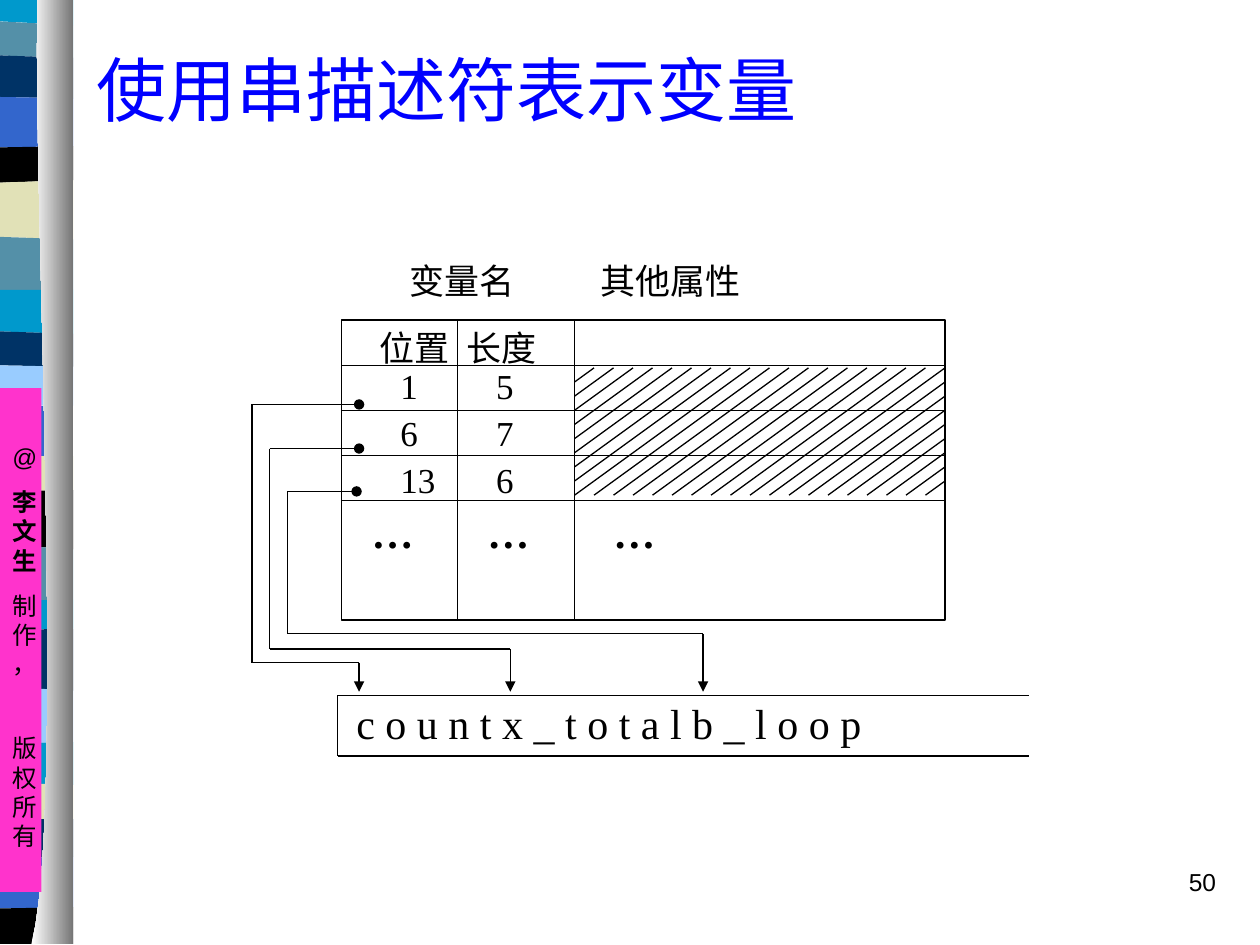
from lxml.etree import SubElement
from pptx import Presentation
from pptx.dml.color import RGBColor
from pptx.enum.shapes import MSO_CONNECTOR as Link, MSO_SHAPE as Preset
from pptx.enum.text import MSO_ANCHOR as Anchor, PP_ALIGN as Align
from pptx.oxml.ns import qn
from pptx.util import Inches, Pt

BLACK = RGBColor(0x00, 0x00, 0x00)
WHITE = RGBColor(0xFF, 0xFF, 0xFF)
GRAY = RGBColor(0x76, 0x76, 0x76)
BLUE = RGBColor(0x00, 0x00, 0xFF)
PINK = RGBColor(0xFF, 0x33, 0xCC)
CYAN = RGBColor(0x00, 0x99, 0xCC)
TEAL = RGBColor(0x54, 0x90, 0xA8)
NAVY = RGBColor(0x00, 0x33, 0x66)
ROYAL = RGBColor(0x33, 0x66, 0xCC)
SAND = RGBColor(0xE1, 0xE1, 0xB7)
SKY = RGBColor(0x99, 0xCC, 0xFF)

HAN = "Noto Sans CJK SC"
SERIF = {"name": "Times New Roman", "size": Pt(20), "bold": False}
SERIF_LARGE = {**SERIF, "size": Pt(24)}
SERIF_BOLD = {**SERIF_LARGE, "bold": True}
SANS = {"name": "Arial", "size": Pt(14), "bold": False}
TITLE = {"name": HAN, "size": Pt(40), "bold": False}

BANDS = [
    (CYAN, 0.17, 0.2), (TEAL, 0.44, 0.46), (NAVY, 0.77, 0.78),
    (ROYAL, 1.17, 1.16), (BLACK, 1.45, 1.43), (SAND, 1.88, 1.9),
    (TEAL, 2.3, 2.3), (CYAN, 2.63, 2.65), (NAVY, 2.9, 2.91),
    (SKY, 3.22, 3.22), (ROYAL, 3.62, 3.62), (SAND, 3.9, 3.89),
    (BLACK, 4.32, 4.36), (TEAL, 4.77, 4.76), (CYAN, 5, 4.99),
    (NAVY, 5.45, 5.48), (SKY, 5.9, 5.89), (CYAN, 6.21, 6.23),
    (SAND, 6.5, 6.5), (NAVY, 6.81, 6.8), (ROYAL, 7.21, 7.2),
    (BLACK, 7.49, 7.49),
]


def write_para(para, text, style, align=Align.LEFT, before=0, tabs=(), color=BLACK):
    """Write one styled run, with tab stops given in inches."""
    para.alignment = align
    para.space_before = Pt(before)
    if tabs:
        stops = SubElement(para._p.get_or_add_pPr(), qn("a:tabLst"))
        for stop in tabs:
            SubElement(stops, qn("a:tab"), pos=str(Inches(stop)), algn="l")
    span = para.add_run()
    span.text = text
    span.font.color.rgb = color
    for key, value in style.items():
        setattr(span.font, key, value)
    SubElement(span.font._element, qn("a:ea"), typeface=HAN)


def add_text(page, box, lines, style, anchor=Anchor.TOP, **formats):
    """Place a text box holding one paragraph per line."""
    frame = page.shapes.add_textbox(*map(Inches, box)).text_frame
    frame.word_wrap = True
    frame.vertical_anchor = anchor
    for index, text in enumerate(lines):
        para = frame.add_paragraph() if index else frame.paragraphs[0]
        write_para(para, text, style, **formats)
        if index:
            para.space_before = Pt(3)


def add_line(page, start, end, tail=None):
    """Draw a thin black line, with an optional mark at its end."""
    line = page.shapes.add_connector(Link.STRAIGHT, *map(Inches, (*start, *end)))
    line.line.color.rgb = BLACK
    line.line.width = Pt(0.75)
    if tail:
        SubElement(line.line._get_or_add_ln(), qn("a:tailEnd"), type=tail)
    SubElement(line._element.spPr, qn("a:effectLst"))


def add_outline(page, points):
    """Build a closed shape through points, without line or shadow."""
    corners = [(Inches(x), Inches(y)) for x, y in points]
    builder = page.shapes.build_freeform(*corners[0])
    builder.add_line_segments(corners[1:], close=True)
    shape = builder.convert_to_shape()
    shape.shadow.inherit = False
    shape.line.fill.background()
    return shape


def curve_point(t, ends):
    """Return the cubic curve value at t for four control values."""
    a, b, c, d = ends
    s = 1 - t
    return a * s**3 + 3 * b * s * s * t + 3 * c * s * t * t + d * t**3


def add_side_strip(page, box):
    """Stack the coloured bands and lay the silver edge over them."""
    left, top, width, height = box
    right = left + width
    above = (top, top)
    for color, low_left, low_right in BANDS:
        points = [(left, above[0]), (right, above[1]), (right, low_right), (left, low_left)]
        band = add_outline(page, points)
        band.fill.solid()
        band.fill.fore_color.rgb = color
        above = (low_left, low_right)
    curve = [
        (left + curve_point(i / 24, (0.3, 0.25, 0.53, 0.25)),
         top + curve_point(i / 24, (0, 1.25, 6.46, height)))
        for i in range(25)
    ]
    edge = add_outline(page, curve + [(right, top + height), (right, top)])
    edge.fill.gradient()
    edge.fill.gradient_angle = 0
    for stop, color in zip(edge.fill.gradient_stops, (WHITE, GRAY)):
        stop.color.rgb = color


def add_credit(page, box):
    """Add the pink panel with the copyright line set downwards."""
    panel = page.shapes.add_shape(Preset.RECTANGLE, *map(Inches, box))
    panel.shadow.inherit = False
    panel.fill.solid()
    panel.fill.fore_color.rgb = PINK
    panel.line.fill.background()
    frame = panel.text_frame
    frame.word_wrap = True
    frame.vertical_anchor = Anchor.TOP
    frame.margin_top = Inches(0.43)
    parts = [("@", 0), ("李文生", 8.8), ("制作，", 8.8), ("版权所有", 31)]
    for index, (text, before) in enumerate(parts):
        para = frame.add_paragraph() if index else frame.paragraphs[0]
        style = {**SANS, "bold": text == "李文生"}
        write_para(para, text, style, Align.CENTER, before)


def add_hatching(page, box, across=19, down=9):
    """Fill a box with evenly spaced slanted lines."""
    left, top, width, height = box
    dx, dy = width / across, height / down
    for k in range(1, across + down):
        start = (left + min(k, across) * dx, top + max(0, k - across) * dy)
        end = (left + max(0, k - down) * dx, top + min(k, down) * dy)
        add_line(page, start, end)


def add_descriptor_grid(page, box):
    """Draw the descriptor grid with its headings, values and hatching."""
    left, top, width, height = box
    frame = page.shapes.add_shape(Preset.RECTANGLE, *map(Inches, box))
    frame.shadow.inherit = False
    frame.fill.background()
    frame.line.color.rgb = BLACK
    frame.line.width = Pt(0.75)
    for x in (left + 0.92, left + 1.85):
        add_line(page, (x, top), (x, top + height))
    for row in range(4):
        y = top + 0.36 + row * 0.357
        add_line(page, (left, y), (left + width, y))
    add_hatching(page, (left + 1.85, top + 0.38, width - 1.85, 1.01))
    add_text(page, (left + 0.44, top - 0.53, 2.94, 0.44), ["变量名\t其他属性"], SERIF, tabs=[1.52])
    add_text(page, (left + 0.2, top, 1.55, 0.44), ["位置\t长度"], SERIF, tabs=[0.69])
    values = ["1\t5", "6\t7", "13\t6"]
    add_text(page, (left + 0.37, top + 0.3, 1.41, 1.19), values, SERIF, tabs=[0.76], before=3)
    add_text(page, (left + 0.14, top + 1.43, 2.45, 0.5), ["…\t…\t…"], SERIF_BOLD,
             Anchor.MIDDLE, tabs=[0.92, 1.92])


def add_string_store(page, box):
    """Draw the character store, open on the right."""
    left, top, width, height = box
    for y in (top, top + height):
        add_line(page, (left, y), (left + width, y))
    add_line(page, (left, top), (left, top + height))
    add_text(page, (left + 0.05, top - 0.03, 5.3, 0.5),
             ["c o u n t x _ t o t a l b _ l o o p"], SERIF_LARGE)


def add_pointer(page, dot, lane, turn, tip):
    """Lead from a dot out to a lane, down, across and into an arrow."""
    corners = [(lane, dot[1]), (lane, turn), (tip[0], turn)]
    add_line(page, corners[0], dot, "oval")
    add_line(page, corners[0], corners[1])
    add_line(page, corners[1], corners[2])
    add_line(page, corners[2], tip, "triangle")


def main():
    """Build the slide and save the deck."""
    deck = Presentation()
    deck.slide_width, deck.slide_height = Inches(10), Inches(7.5)
    page = deck.slides.add_slide(deck.slide_layouts[6])
    add_side_strip(page, (0, 0, 0.58, 7.49))
    add_credit(page, (0, 3.08, 0.33, 4))
    add_text(page, (0.67, 0.08, 9.12, 1.25), ["使用串描述符表示变量"], TITLE, Anchor.MIDDLE, color=BLUE)
    add_string_store(page, (2.68, 5.52, 5.49, 0.48))
    add_descriptor_grid(page, (2.71, 2.54, 4.79, 2.38))
    add_pointer(page, (2.83, 3.9), 2.28, 5.03, (5.58, 5.49))
    add_pointer(page, (2.85, 3.56), 2.14, 5.15, (4.05, 5.49))
    add_pointer(page, (2.85, 3.21), 2, 5.26, (2.85, 5.49))
    add_text(page, (7.67, 6.83, 2.08, 0.5), ["50"], SANS, align=Align.RIGHT)
    deck.save("out.pptx")


if __name__ == "__main__":
    main()
